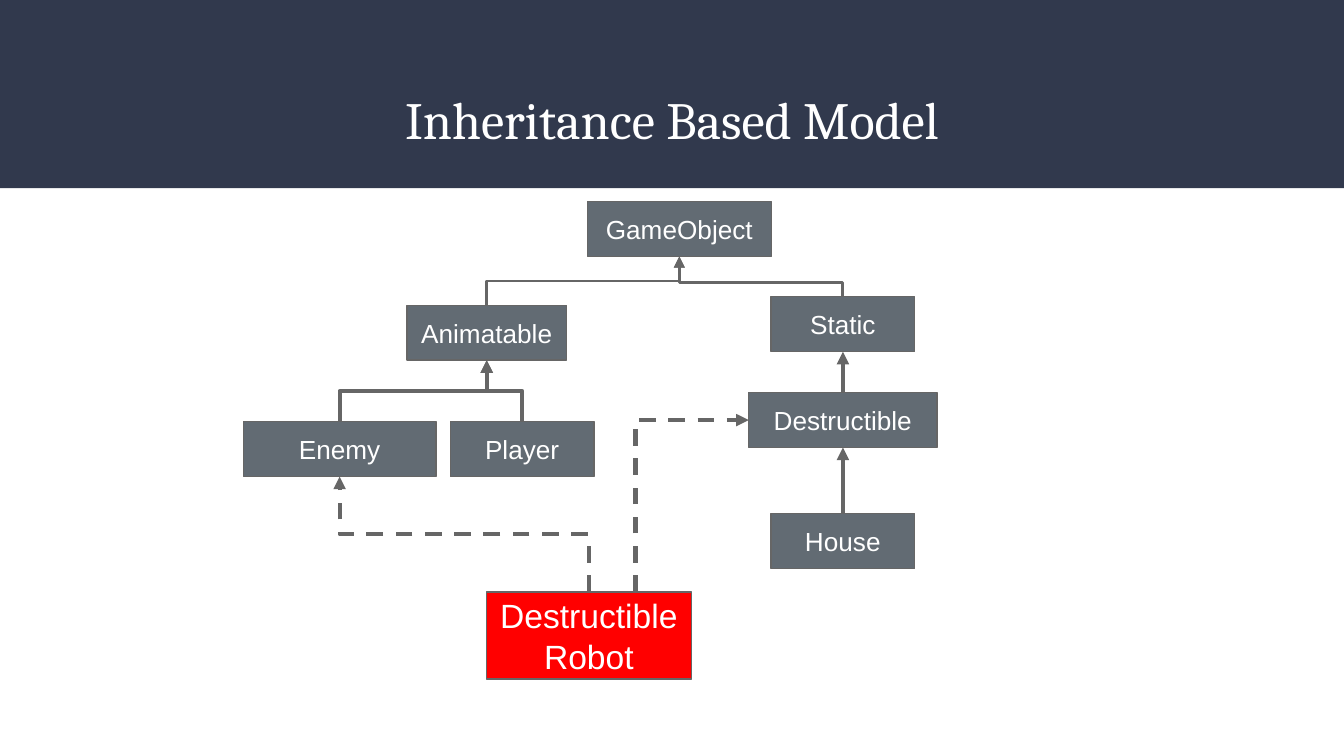
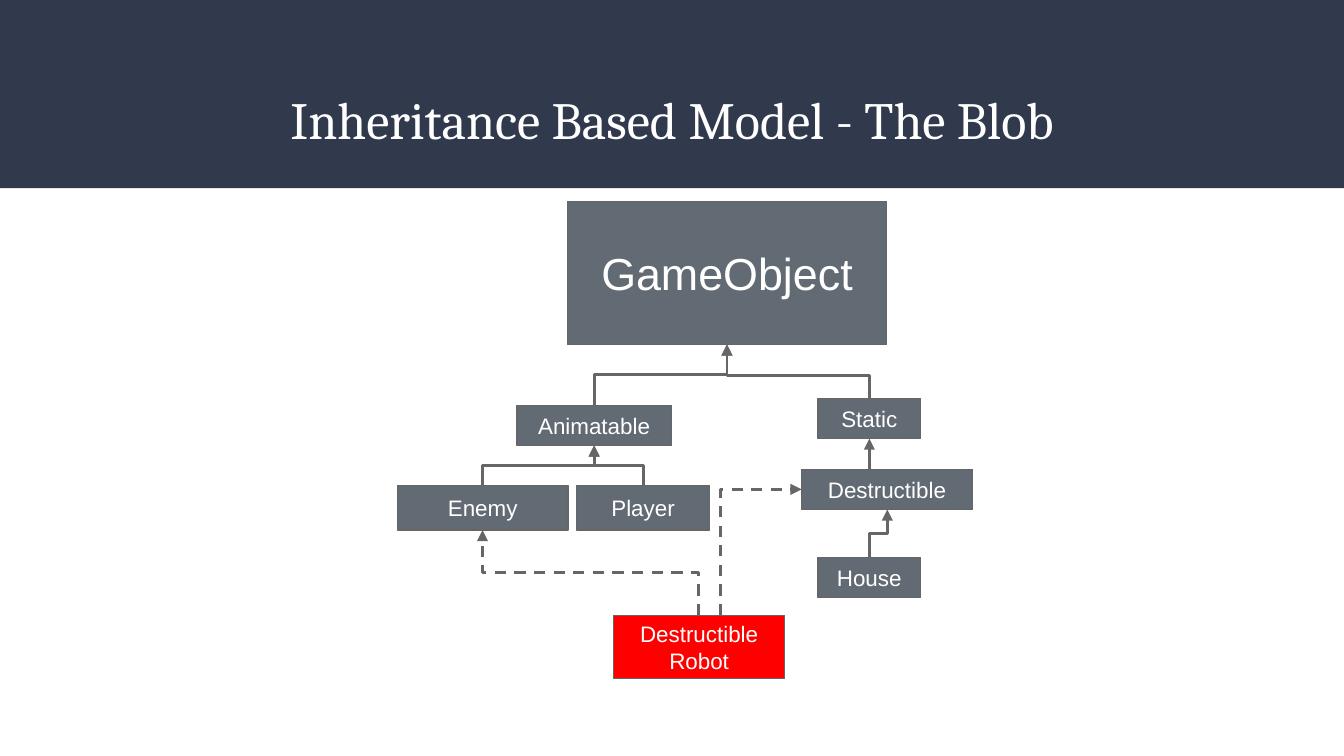
"""Build two slides that show an inheritance tree of game classes."""
from typing import NamedTuple, Optional

from lxml import etree
from pptx import Presentation
from pptx import util as u
from pptx.dml import color
from pptx.enum import dml, shapes, text
from pptx.oxml import ns

HUES = {"band": "31394D", "node": "626B73", "alert": "FF0000",
        "line": "666666", "text": "FFFFFF"}
WIDE, HIGH = 25.4, 14.29


class Box(NamedTuple):
    left: float
    top: float
    wide: float
    high: float
    size: int
    fill: str = "node"

    @property
    def mid(self) -> float:
        return round(self.left + self.wide / 2, 2)

    @property
    def base(self) -> float:
        return self.top + self.high


class Link(NamedTuple):
    child: str
    parent: str
    width: float
    bend: float = 0.5
    dash: bool = False
    start: Optional[float] = None
    side: bool = False


class Tree(NamedTuple):
    title: str
    boxes: dict[str, Box]
    links: list[Link]


def hue(name: str) -> color.RGBColor:
    return color.RGBColor.from_string(HUES[name])


def write(shape, words: str, font: str, size: int) -> None:
    frame = shape.text_frame
    frame.word_wrap = True
    frame.margin_left = frame.margin_right = u.Cm(0.25)
    frame.margin_top = frame.margin_bottom = u.Cm(0.25)
    para = frame.paragraphs[0]
    para.alignment = text.PP_ALIGN.CENTER
    run = para.add_run()
    run.text = words
    run.font.name = font
    run.font.size = u.Pt(size)
    run.font.color.rgb = hue("text")


def block(slide, left: float, top: float, wide: float, high: float, fill: str):
    shape = slide.shapes.add_shape(
        shapes.MSO_SHAPE.RECTANGLE, *map(u.Cm, (left, top, wide, high)))
    shape.shadow.inherit = False
    shape.fill.solid()
    shape.fill.fore_color.rgb = hue(fill)
    shape.line.fill.background()
    return shape


def head(slide, title: str) -> None:
    block(slide, 0, 0, WIDE, 3.56, "band")
    label = slide.shapes.add_textbox(*map(u.Cm, (0.86, 1.4, 23.68, 1.73)))
    write(label, title, "Cambria", 28)


def node(slide, name: str, box: Box):
    shape = block(slide, *box[:4], box.fill)
    shape.line.color.rgb = hue("line")
    shape.line.width = u.Pt(0.75)
    shape.text_frame.vertical_anchor = text.MSO_ANCHOR.MIDDLE
    write(shape, name, "Arial", box.size)
    return shape


def style(wire, link: Link) -> None:
    wire.line.color.rgb = hue("line")
    wire.line.width = u.Pt(link.width)
    if link.dash:
        wire.line.dash_style = dml.MSO_LINE.DASH
    props = wire._element.spPr
    etree.SubElement(props.find(ns.qn("a:ln")), ns.qn("a:tailEnd"), type="triangle")
    etree.SubElement(props, ns.qn("a:effectLst"))


def elbow(slide, x1: float, y1: float, x2: float, y2: float, link: Link):
    """Draw an elbow that leaves upwards, as a turned horizontal one."""
    right = x2 > x1
    midx, midy = (x1 + x2) / 2, (y1 + y2) / 2
    dx = (y1 - y2) / 2 * (1 if right else -1)
    dy = abs(x2 - x1) / 2
    wire = slide.shapes.add_connector(
        shapes.MSO_CONNECTOR.ELBOW,
        *map(u.Cm, (midx - dx, midy - dy, midx + dx, midy + dy)))
    props = wire._element.spPr
    props.find(ns.qn("a:xfrm")).set("rot", str((270 if right else 90) * 60000))
    geom = props.find(ns.qn("a:prstGeom"))
    if link.side:
        geom.set("prst", "bentConnector2")
    else:
        etree.SubElement(geom.find(ns.qn("a:avLst")), ns.qn("a:gd"),
                         name="adj1", fmla=f"val {round(link.bend * 100000)}")
    return wire


def join(slide, tree: Tree, nodes: dict, link: Link) -> None:
    child, parent = tree.boxes[link.child], tree.boxes[link.parent]
    x1 = child.mid if link.start is None else link.start
    x2, y2 = parent.mid, parent.base
    if link.side:
        x2, y2 = parent.left, parent.top + parent.high / 2
    if abs(x1 - x2) < 0.02:
        wire = slide.shapes.add_connector(
            shapes.MSO_CONNECTOR.STRAIGHT, *map(u.Cm, (x1, child.top, x2, y2)))
        if link.start is None:
            wire.begin_connect(nodes[link.child], 0)
        wire.end_connect(nodes[link.parent], 2)
    else:
        wire = elbow(slide, x1, child.top, x2, y2, link)
    style(wire, link)


def links(width: float, top: float, bend: float, stem: Optional[float],
          side: float) -> list[Link]:
    return [
        Link("Enemy", "Animatable", width),
        Link("Player", "Animatable", width),
        Link("House", "Destructible", width),
        Link("Destructible", "Static", width, start=stem),
        Link("Static", "GameObject", top, bend),
        Link("Animatable", "GameObject", top),
        Link("Destructible Robot", "Enemy", width, dash=True),
        Link("Destructible Robot", "Destructible", width, dash=True,
             start=side, side=True),
    ]


TREES = [
    Tree("Inheritance Based Model", {
        "GameObject": Box(11.1, 3.81, 3.48, 1.04, 14),
        "Destructible": Box(14.15, 7.42, 3.56, 1.04, 14),
        "Animatable": Box(7.69, 5.77, 3.02, 1.04, 14),
        "Player": Box(8.51, 7.97, 2.72, 1.04, 14),
        "Enemy": Box(4.6, 7.97, 3.64, 1.04, 14),
        "House": Box(14.57, 9.71, 2.72, 1.04, 14),
        "Static": Box(14.57, 5.61, 2.72, 1.04, 14),
        "Destructible Robot": Box(9.19, 11.19, 3.88, 1.65, 18, "alert"),
    }, links(2.25, 1.5, 0.36, None, 12.01)),
    Tree("Inheritance Based Model - The Blob", {
        "GameObject": Box(10.73, 3.81, 6.02, 2.7, 24),
        "Destructible": Box(15.15, 8.87, 3.23, 0.76, 12),
        "Animatable": Box(9.77, 7.66, 2.92, 0.76, 12),
        "Player": Box(10.9, 9.18, 2.51, 0.84, 12),
        "Enemy": Box(7.51, 9.18, 3.23, 0.84, 12),
        "House": Box(15.46, 10.54, 1.94, 0.76, 12),
        "Static": Box(15.46, 7.53, 1.94, 0.76, 12),
        "Destructible Robot": Box(11.6, 11.63, 3.23, 1.2, 12, "alert"),
    }, links(1.5, 1.5, 0.42, 16.43, 13.61)),
]


def main() -> None:
    deck = Presentation()
    deck.slide_width, deck.slide_height = u.Cm(WIDE), u.Cm(HIGH)
    for tree in TREES:
        slide = deck.slides.add_slide(deck.slide_layouts[6])
        head(slide, tree.title)
        nodes = {name: node(slide, name, box) for name, box in tree.boxes.items()}
        for link in tree.links:
            join(slide, tree, nodes, link)
    deck.save("out.pptx")


if __name__ == "__main__":
    main()
